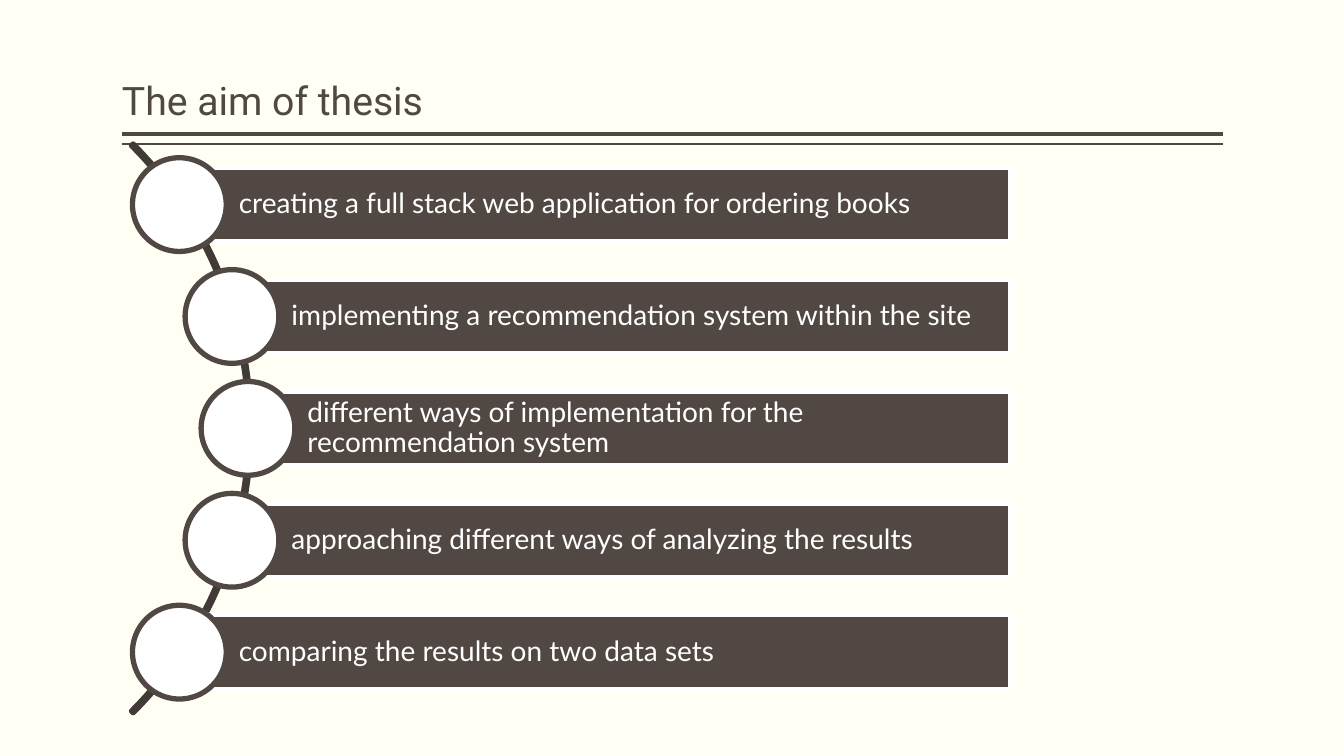
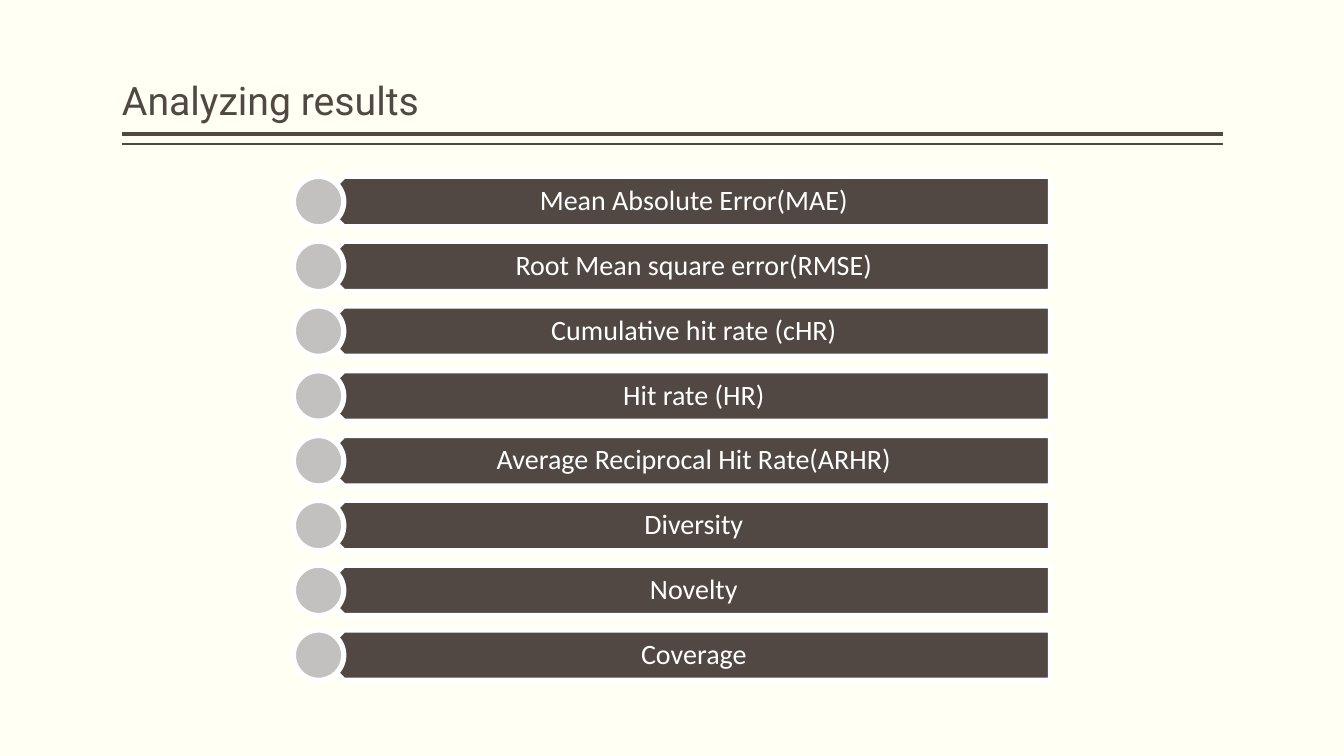
import math

from pptx import Presentation
from pptx.dml.color import RGBColor
from pptx.enum import shapes, text
from pptx.oxml.ns import qn
from pptx.util import Inches, Pt

CREAM = RGBColor(0xFF, 0xFF, 0xF3)
BROWN = RGBColor(0x51, 0x48, 0x43)
DARK = RGBColor(0x41, 0x3A, 0x36)
GREY = RGBColor(0xC2, 0xC1, 0xC0)
WHITE = RGBColor(0xFF, 0xFF, 0xFF)
KIND = shapes.MSO_SHAPE
LEFT, MID = text.PP_ALIGN.LEFT, text.PP_ALIGN.CENTER
EDGE = 3.78

AIMS = [
    "creating a full stack web application for ordering books",
    "implementing a recommendation system within the site",
    "different ways of implementation for the recommendation system",
    "approaching different ways of analyzing the results",
    "comparing the results on two data sets",
]
METRICS = [
    "Mean Absolute Error(MAE)",
    "Root Mean square error(RMSE)",
    "Cumulative hit rate (cHR)",
    "Hit rate (HR)",
    "Average Reciprocal Hit Rate(ARHR)",
    "Diversity",
    "Novelty",
    "Coverage",
]
RULES = [(1.33, 3), (1.43, 1)]  # height on the slide, weight
TITLE = dict(size=28, name="Roboto", color=BROWN, align=LEFT,
             anchor=text.MSO_ANCHOR.BOTTOM, pad=(0, 0.05, 0, 0.05))
AIM = dict(size=20, name="Lato", color=WHITE, align=LEFT,
           anchor=text.MSO_ANCHOR.MIDDLE, pad=(0.59, 0.06, 0.06, 0.06))
METRIC = dict(AIM, name="Calibri", align=MID, pad=(0.22, 0.08, 0.16, 0.08))


def write(shape, words, style):
    frame = shape.text_frame
    frame.word_wrap = True
    frame.vertical_anchor = style["anchor"]
    for side, gap in zip(("left", "top", "right", "bottom"), style["pad"]):
        setattr(frame, "margin_" + side, Inches(gap))
    para = frame.paragraphs[0]
    para.alignment, para.line_spacing = style["align"], 0.9
    run = para.add_run()
    run.text = words
    run.font.size, run.font.name = Pt(style["size"]), style["name"]
    run.font.color.rgb = style["color"]


def draw(slide, kind, box, fill, line):
    shape = slide.shapes.add_shape(kind, *map(Inches, box))
    shape.shadow.inherit = False
    if fill is None:
        shape.fill.background()
    else:
        shape.fill.solid()
        shape.fill.fore_color.rgb = fill
    shape.line.color.rgb, shape.line.width = line, Pt(EDGE)
    return shape


def start(deck, title):
    """Add a slide with its title and the double rule."""
    slide = deck.slides.add_slide(deck.slide_layouts[6])
    for y, weight in RULES:
        rule = slide.shapes.add_connector(
            shapes.MSO_CONNECTOR.STRAIGHT,
            Inches(1.21), Inches(y), Inches(12.13), Inches(y))
        rule.line.color.rgb, rule.line.width = BROWN, Pt(weight)
        props = rule._element.spPr
        props.append(props.makeelement(qn("a:effectLst"), {}))
    box = map(Inches, (1.21, 0.08, 10.92, 1.2))
    write(slide.shapes.add_textbox(*box), title, TITLE)
    return slide


def aims(deck):
    slide = start(deck, "The aim of thesis")
    hub, mid, rad, size = -1.5, 4.25, 3.99, 7.98
    arc = draw(slide, KIND.BLOCK_ARC, (hub - rad, mid - rad, size, size),
               None, DARK)
    for i, value in enumerate((189, 27, 0.003)):
        arc.adjustments[i] = value
    step, tall, disc, right = 1.11, 0.74, 0.93, 10.02
    for i, words in enumerate(AIMS):
        drop = (i - (len(AIMS) - 1) / 2) * step
        x, y = hub + math.sqrt(3.96 ** 2 - drop ** 2), mid + drop
        bar = draw(slide, KIND.RECTANGLE, (x, y - tall / 2, right - x, tall),
                   BROWN, WHITE)
        write(bar, words, AIM)
        draw(slide, KIND.OVAL, (x - disc / 2, y - disc / 2, disc, disc),
             WHITE, BROWN)


def metrics(deck):
    slide = start(deck, "Analyzing results")
    left, top, wide, tall = 3.16, 1.75, 7.26, 0.5
    step = 4.5 / (len(METRICS) - 1)
    for i, words in enumerate(METRICS):
        y = top + i * step
        bar = draw(slide, KIND.PENTAGON, (left, y, wide, tall), BROWN, WHITE)
        bar._element.spPr.xfrm.set("flipH", "1")  # point left, text upright
        write(bar, words, METRIC)
        draw(slide, KIND.OVAL, (left - tall / 2, y, tall, tall), GREY, WHITE)


def main():
    deck = Presentation()
    deck.slide_width, deck.slide_height = Inches(13.33), Inches(7.5)
    back = deck.slide_master.background.fill
    back.solid()
    back.fore_color.rgb = CREAM
    aims(deck)
    metrics(deck)
    deck.save("out.pptx")


if __name__ == "__main__":
    main()
